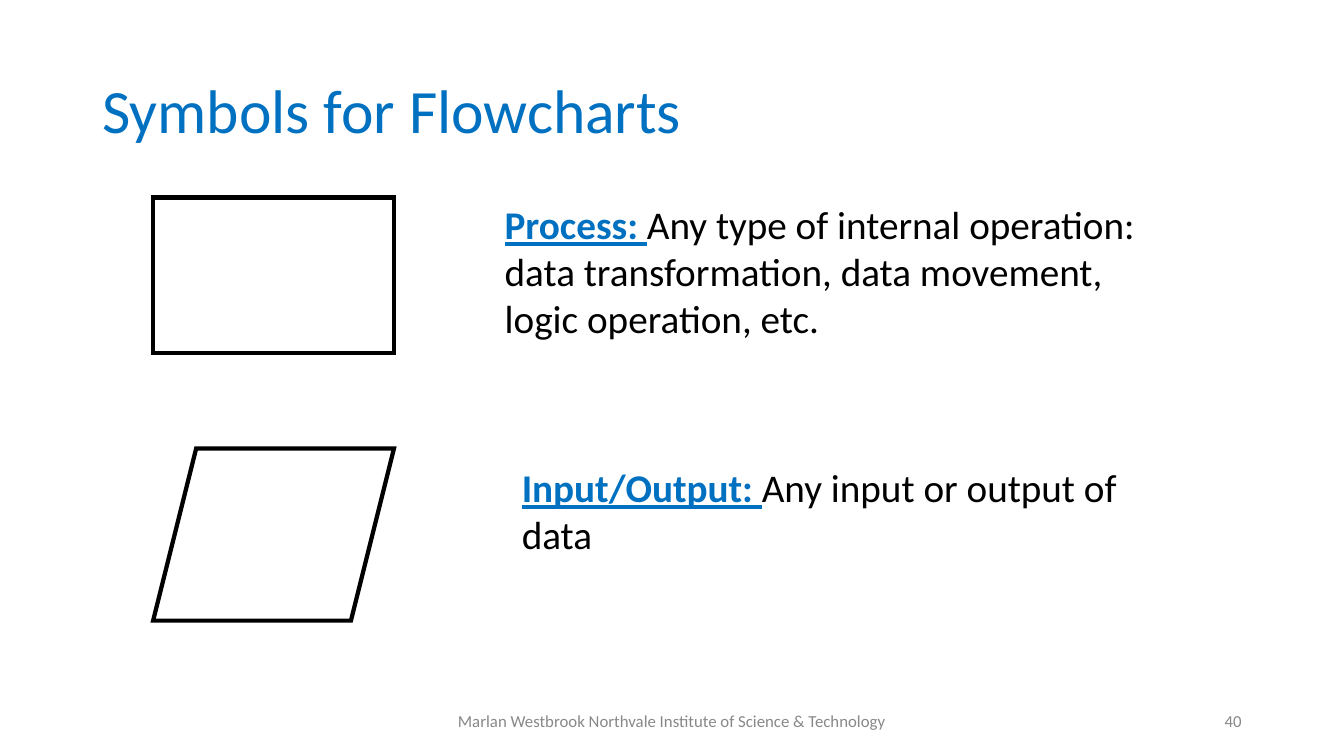
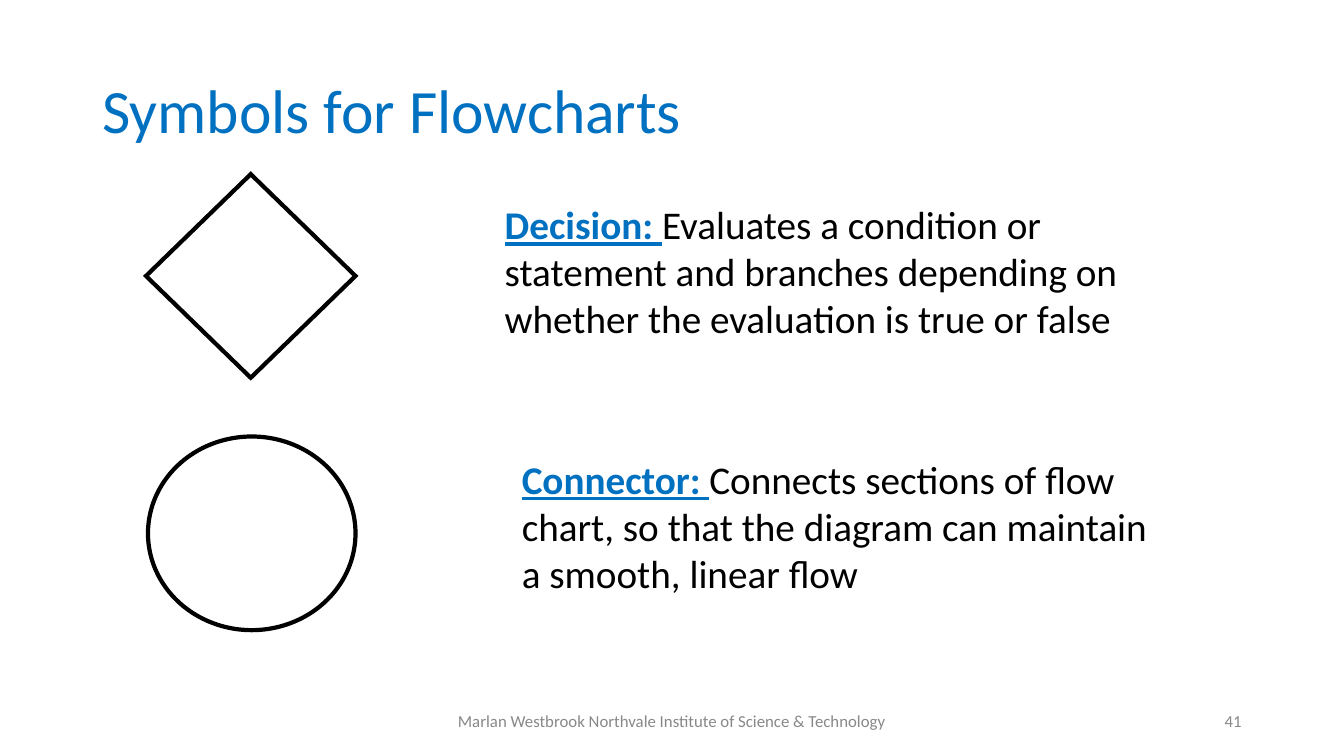
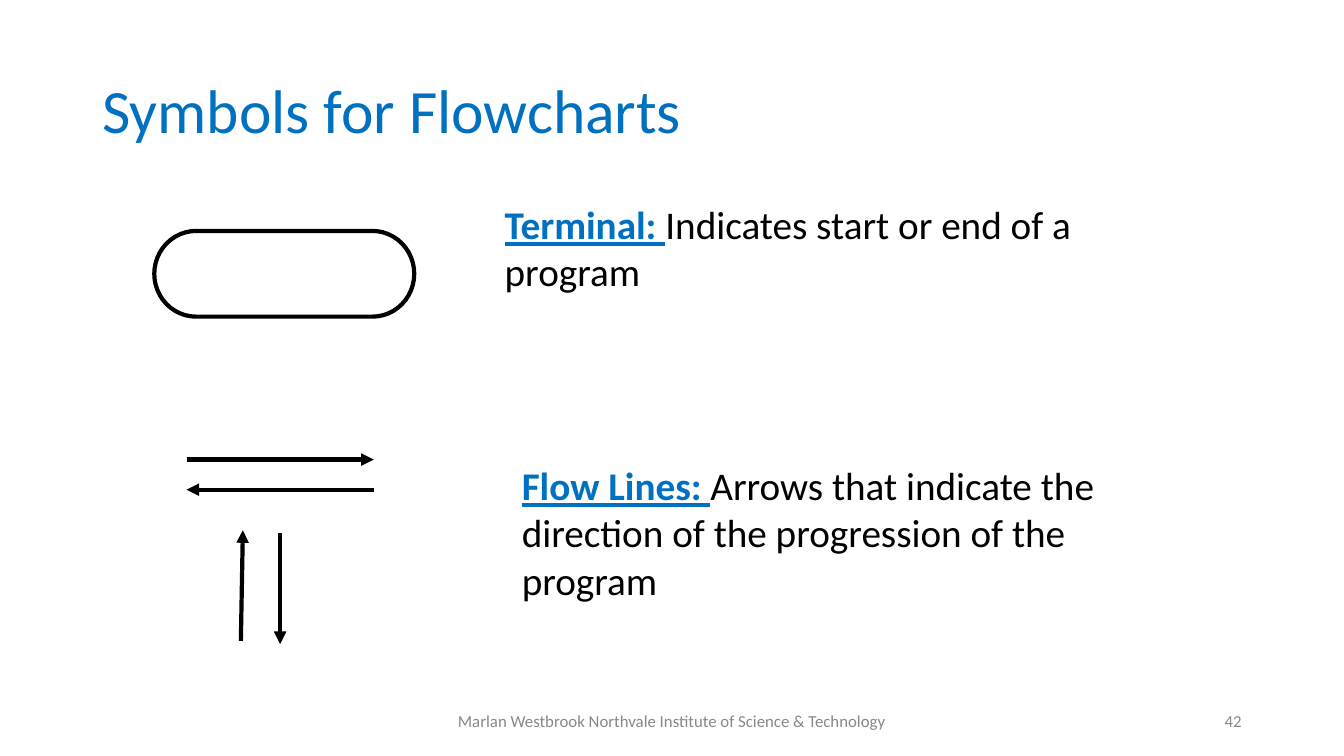
from pptx import Presentation
from pptx.dml.color import RGBColor
from pptx.enum.shapes import MSO_CONNECTOR, MSO_SHAPE
from pptx.enum.text import MSO_ANCHOR, PP_ALIGN
from pptx.oxml.ns import qn
from pptx.util import Cm, Pt
from lxml import etree

BLUE = RGBColor(0x00, 0x70, 0xC0)
BLACK = RGBColor(0x00, 0x00, 0x00)
WHITE = RGBColor(0xFF, 0xFF, 0xFF)
GRAY = RGBColor(0x88, 0x88, 0x88)

LEFT, CENTER, RIGHT = PP_ALIGN.LEFT, PP_ALIGN.CENTER, PP_ALIGN.RIGHT
TOP, MIDDLE = MSO_ANCHOR.TOP, MSO_ANCHOR.MIDDLE
STRAIGHT = MSO_CONNECTOR.STRAIGHT
PROCESS, INPUT_OUTPUT = MSO_SHAPE.RECTANGLE, MSO_SHAPE.PARALLELOGRAM
DECISION, CONNECTOR = MSO_SHAPE.DIAMOND, MSO_SHAPE.FLOWCHART_CONNECTOR
TERMINAL = MSO_SHAPE.FLOWCHART_TERMINATOR

FONT = "Calibri"
TITLE = "Symbols for Flowcharts"
FOOTER = "Marlan Westbrook Northvale Institute of Science & Technology"
FIRST_NUMBER = 40

# Left edge of the upper and lower definitions, and their top on the upper row
UPPER_LEFT, LOWER_LEFT, UPPER_TOP = 12.47, 12.9, 4.93

# Per slide: symbols (shape, left, top, width, height), flow lines
# (x1, y1, x2, y2) and definitions (left, top, term, meaning), in cm
SLIDES = [
    {
        "symbols": [(PROCESS, 3.86, 4.98, 6.07, 3.91),
                    (INPUT_OUTPUT, 3.86, 11.3, 6.07, 4.34)],
        "definitions": [
            (UPPER_LEFT, UPPER_TOP, "Process: ",
             "Any type of internal operation: data transformation, "
             "data movement, logic operation, etc."),
            (LOWER_LEFT, 11.56, "Input/Output: ",
             "Any input or output of data")],
    },
    {
        "symbols": [(DECISION, 3.68, 4.39, 5.28, 5.13),
                    (CONNECTOR, 3.73, 11, 5.23, 4.88)],
        "definitions": [
            (UPPER_LEFT, UPPER_TOP, "Decision: ",
             "Evaluates a condition or statement and branches depending on "
             "whether the evaluation is true or false"),
            (LOWER_LEFT, 11.35, "Connector: ",
             "Connects sections of flow chart, so that the diagram can "
             "maintain a smooth, linear flow")],
    },
    {
        "symbols": [(TERMINAL, 3.89, 5.82, 6.55, 2.16)],
        "flow_lines": [(4.7, 11.58, 9.42, 11.58), (9.42, 12.34, 4.7, 12.34),
                       (6.07, 16.15, 6.12, 13.36), (7.06, 13.44, 7.06, 16.23)],
        "definitions": [
            (UPPER_LEFT, UPPER_TOP, "Terminal: ",
             "Indicates start or end of a program"),
            (LOWER_LEFT, 11.51, "Flow Lines: ",
             "Arrows that indicate the direction of the progression "
             "of the program")],
    },
]


def add_text(s, box, size, color, text="", align=LEFT, anchor=TOP):
    """Add a wrapping one-paragraph text box and return the paragraph."""
    tf = s.shapes.add_textbox(*map(Cm, box)).text_frame
    tf.word_wrap = True
    tf.vertical_anchor = anchor
    p = tf.paragraphs[0]
    p.text = text
    p.alignment = align
    p.font.name, p.font.size = FONT, Pt(size)
    p.font.color.rgb = color
    return p


def add_frame(s, number):
    """Add the title, footer and slide number."""
    p = add_text(s, (2.33, 1.01, 29.21, 3.68), 44, BLUE, TITLE, anchor=MIDDLE)
    p.line_spacing = 0.9
    add_text(s, (11.22, 17.65, 11.43, 1.02), 12, GRAY, FOOTER, CENTER, MIDDLE)
    add_text(s, (23.92, 17.65, 7.62, 1.02), 12, GRAY, str(number), RIGHT, MIDDLE)


def style_line(sp):
    """Give a shape or connector the thick black line with sharp corners."""
    sp.line.color.rgb = BLACK
    sp.line.width = Pt(3)
    ln = sp.line._get_or_add_ln()
    etree.SubElement(ln, qn("a:miter"), lim="800000")
    return ln


def add_symbol(s, kind, *box):
    sp = s.shapes.add_shape(kind, *map(Cm, box))
    sp.shadow.inherit = False
    sp.fill.solid()
    sp.fill.fore_color.rgb = WHITE
    style_line(sp)


def add_flow_line(s, *ends):
    sp = s.shapes.add_connector(STRAIGHT, *map(Cm, ends))
    ln = style_line(sp)
    etree.SubElement(ln, qn("a:tailEnd"), type="triangle")
    etree.SubElement(sp._element.spPr, qn("a:effectLst"))


def add_definition(s, left, top, term, meaning):
    p = add_text(s, (left, top, 16.87, 3.84), 28, BLACK)
    r = p.add_run()
    r.text = term
    r.font.bold = r.font.underline = True
    r.font.color.rgb = BLUE
    p.add_run().text = meaning


def main():
    prs = Presentation()
    prs.slide_width, prs.slide_height = Cm(33.87), Cm(19.05)
    blank = prs.slide_layouts[6]
    for number, content in enumerate(SLIDES, FIRST_NUMBER):
        s = prs.slides.add_slide(blank)
        add_frame(s, number)
        for symbol in content["symbols"]:
            add_symbol(s, *symbol)
        for ends in content.get("flow_lines", []):
            add_flow_line(s, *ends)
        for definition in content["definitions"]:
            add_definition(s, *definition)
    prs.save("out.pptx")


if __name__ == "__main__":
    main()
